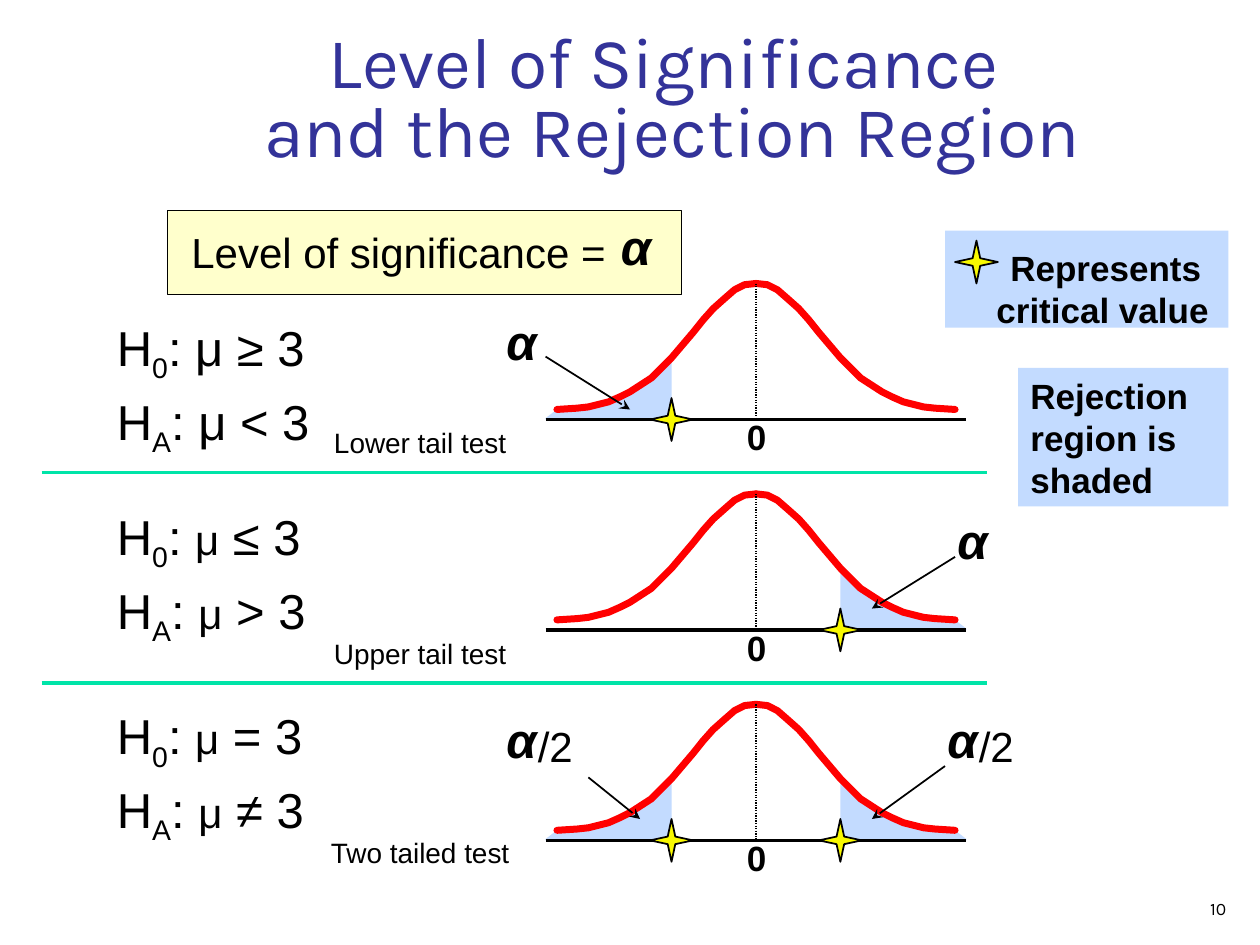
import pptx
import pptx.util
import pptx.dml.color
import pptx.enum.dml
import pptx.enum.shapes
import pptx.enum.text
import pptx.oxml
import pptx.oxml.ns

Inches, Pt = pptx.util.Inches, pptx.util.Pt
SHAPE = pptx.enum.shapes.MSO_SHAPE
ALIGN = pptx.enum.text.PP_ALIGN
ANCHOR = pptx.enum.text.MSO_ANCHOR

BLACK, SHADE, STAR, RED = "000000", "C3DBFF", "F8F800", "FF0000"
GREEN, CREAM, NAVY = "00E4A8", "FFFFCC", "333399"

MID = 6          # x of the mean
CRITICAL = 0.67  # distance from the mean to a critical value
AXIS_HALF = 1.67
PEAK = 1.08

# Left half of the bell and its tail: distance from the mean, height over axis
CURVE = [(1.58, .08), (1.42, .09), (1.33, .10), (1.25, .12), (1.17, .14),
         (1.08, .18), (1, .22), (.83, .33), (.67, .49), (.5, .69), (.42, .79),
         (.34, .88), (.25, .96), (.17, 1.03), (.09, 1.07), (0, PEAK)]
TAIL = [(1.67, .01), (1.58, .08), (1.24, .14), (1.07, .19), (.87, .31),
        (.67, .5), (.67, 0), (1.67, 0)]

BOLD = {"size": Pt(20), "bold": True}
ALPHA = {"size": Pt(28), "bold": True, "italic": True}

# Each test: name, top of hypotheses, mu size, relations, tails (-1 left, 1 right)
TESTS = [("Lower tail test", 2.42, 28, "≥<", [-1]),
         ("Upper tail test", 3.92, 24, "≤>", [1]),
         ("Two tailed test", 5.5, 24, "=≠", [-1, 1])]
ARROWS = [(4.33, 2.83, 5, 3.25), (7.58, 4.42, 6.92, 4.83),
          (4.67, 6.17, 5.08, 6.5), (7.5, 6.08, 6.92, 6.5)]
ALPHAS = [(4.83, 1.67), (3.92, 2.42), (7.5, 4), (3.92, 5.58), (7.42, 5.58)]


def color(value):
    return pptx.dml.color.RGBColor.from_string(value)


def paint(sp, fill=None, line=None, width=1):
    sp.shadow.inherit = False
    if fill:
        sp.fill.solid()
        sp.fill.fore_color.rgb = color(fill)
    else:
        sp.fill.background()
    if line:
        sp.line.color.rgb = color(line)
        sp.line.width = Pt(width)
    else:
        sp.line.fill.background()
    return sp


def shape(s, kind, box, **look):
    return paint(s.shapes.add_shape(kind, *map(Inches, box)), **look)


def line(s, ends, width, value=BLACK, arrow=False):
    c = s.shapes.add_connector(pptx.enum.shapes.MSO_CONNECTOR.STRAIGHT,
                               *map(Inches, ends))
    c.line.color.rgb = color(value)
    c.line.width = Pt(width)
    if arrow:
        tail = pptx.oxml.parse_xml(
            f'<a:tailEnd {pptx.oxml.ns.nsdecls("a")} type="stealth"/>')
        c.line._get_or_add_ln().append(tail)
    c._element.spPr.append(pptx.oxml.parse_xml(
        f'<a:effectLst {pptx.oxml.ns.nsdecls("a")}/>'))
    return c


def outline(s, side, axis, points, close, **look):
    """Draw a half-bell outline on the left (-1) or right (1) of the mean."""
    pts = [(Inches(MID + side * dx), Inches(axis - h)) for dx, h in points]
    builder = s.shapes.build_freeform(*pts[0], scale=1.0)
    builder.add_line_segments(pts[1:], close=close)
    return paint(builder.convert_to_shape(), **look)


def write(tf, paragraphs, fmt, para=None, **frame):
    """Fill a text frame; a paragraph is a list of (text, font changes)."""
    settings = {"word_wrap": True, "vertical_anchor": ANCHOR.TOP,
                "margin_top": Inches(.05), "margin_bottom": Inches(.05),
                "margin_left": Inches(.1), "margin_right": Inches(.1), **frame}
    for name, value in settings.items():
        setattr(tf, name, value)
    for i, runs in enumerate(paragraphs):
        p = tf.paragraphs[0] if i == 0 else tf.add_paragraph()
        for name, value in {"alignment": ALIGN.LEFT, **(para or {})}.items():
            setattr(p, name, value)
        for content, change in runs:
            if content == "\n":
                p.add_line_break()
                continue
            r = p.add_run()
            r.text = content
            values = {"name": "Arial", "color": BLACK, **fmt, **change}
            r.font.color.rgb = color(values.pop("color"))
            if values.pop("sub", False):
                r._r.get_or_add_rPr().set("baseline", "-25000")
            for name, value in values.items():
                setattr(r.font, name, value)


def text(s, box, content, fmt, para=None, **frame):
    paragraphs = [[(content, {})]] if isinstance(content, str) else content
    tf = s.shapes.add_textbox(*map(Inches, box)).text_frame
    write(tf, paragraphs, fmt, para, **frame)


def star(s, x, y):
    shape(s, SHAPE.STAR_4_POINT, (x - .17, y - .17, .34, .34),
          fill=STAR, line=BLACK)


def bell(s, axis, tails):
    for side in tails:
        outline(s, side, axis, TAIL, True, fill=SHADE)
    for side in (-1, 1):
        sp = outline(s, side, axis, CURVE, False, line=RED, width=4)
        sp.line._get_or_add_ln().set("cap", "rnd")
    line(s, (MID - AXIS_HALF, axis, MID + AXIS_HALF, axis), 2)
    mean = line(s, (MID, axis - PEAK, MID, axis), .75)
    mean.line.dash_style = pptx.enum.dml.MSO_LINE.ROUND_DOT
    text(s, (MID - .17, axis - .08, .33, .43), "0", BOLD)
    for side in tails:
        star(s, MID + side * CRITICAL, axis)


def hypotheses(s, top, mu_size, relations):
    rows = [[("H", {}), (name, {"sub": True}), (": ", {}),
             ("μ", {"size": Pt(mu_size)}), (f" {relation} 3", {})]
            for name, relation in zip("0A", relations)]
    text(s, (.83, top, 2.3, 1.26), rows, {"size": Pt(28)},
         {"line_spacing": 1.1})


def legend(s):
    sp = shape(s, SHAPE.RECTANGLE, (7.5, 1.83, 2.25, .77), fill=SHADE)
    write(sp.text_frame, [[("Represents", {})], [("critical value", {})]],
          BOLD, margin_top=Inches(.13))
    for p, indent in zip(sp.text_frame.paragraphs, (.42, .31)):
        p._p.get_or_add_pPr().set("marL", str(Inches(indent)))
    star(s, 7.75, 2.08)
    sp = shape(s, SHAPE.RECTANGLE, (8.08, 2.92, 1.67, 1.1), fill=SHADE)
    write(sp.text_frame, [[("Rejection region is shaded", {})]], BOLD)


def main():
    prs = pptx.Presentation()
    prs.slide_width, prs.slide_height = Inches(10), Inches(7.5)
    s = prs.slides.add_slide(prs.slide_layouts[6])

    # Title and level of significance
    title = [("Level of Significance ", {}), ("\n", {}),
             ("and the Rejection Region", {})]
    text(s, (1.08, .33, 8.52, 1.08), [title],
         {"name": "Karla", "size": Pt(41), "color": NAVY},
         {"alignment": ALIGN.CENTER, "line_spacing": .8},
         vertical_anchor=ANCHOR.BOTTOM)
    shape(s, SHAPE.RECTANGLE, (1.33, 1.67, 4.08, .67),
          fill=CREAM, line=BLACK, width=.75)
    text(s, (1.42, 1.75, 3.58, .5), "Level of significance =",
         {"size": Pt(24)}, word_wrap=False)

    # One row per test
    for i, (name, top, mu_size, relations, tails) in enumerate(TESTS):
        axis = 3.33 + 1.67 * i
        bell(s, axis, tails)
        hypotheses(s, top, mu_size, relations)
        text(s, (2.5, min(axis, 6.58), 1.67, .36), name, {"size": Pt(16)},
             {"alignment": ALIGN.CENTER})

    # Row dividers
    for y in (3.75, 5.42):
        line(s, (.33, y, 7.83, y), 2.25, GREEN)

    # Alpha labels and their arrows
    for x, y in ALPHAS:
        text(s, (x, y, .5, .56), "α", ALPHA)
    for x in (4.17, 7.67):
        text(s, (x, 5.67, .67, .5), "/2", {"size": Pt(24)})
    for ends in ARROWS:
        line(s, ends, 1, arrow=True)

    # Legend and slide number
    legend(s)
    text(s, (7.75, 7, 2.08, .34), "10", {"name": "Karla", "size": Pt(10)},
         {"alignment": ALIGN.RIGHT}, vertical_anchor=ANCHOR.BOTTOM)
    prs.save("out.pptx")


if __name__ == "__main__":
    main()
